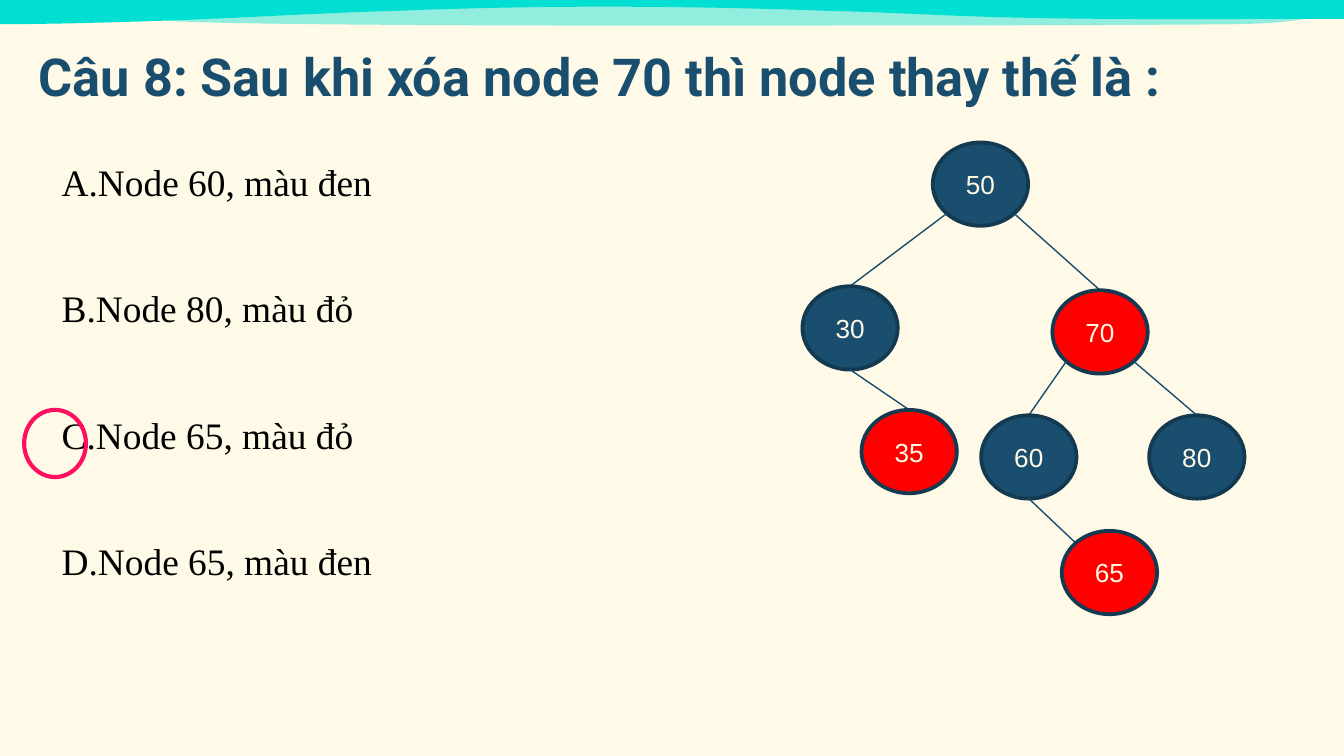
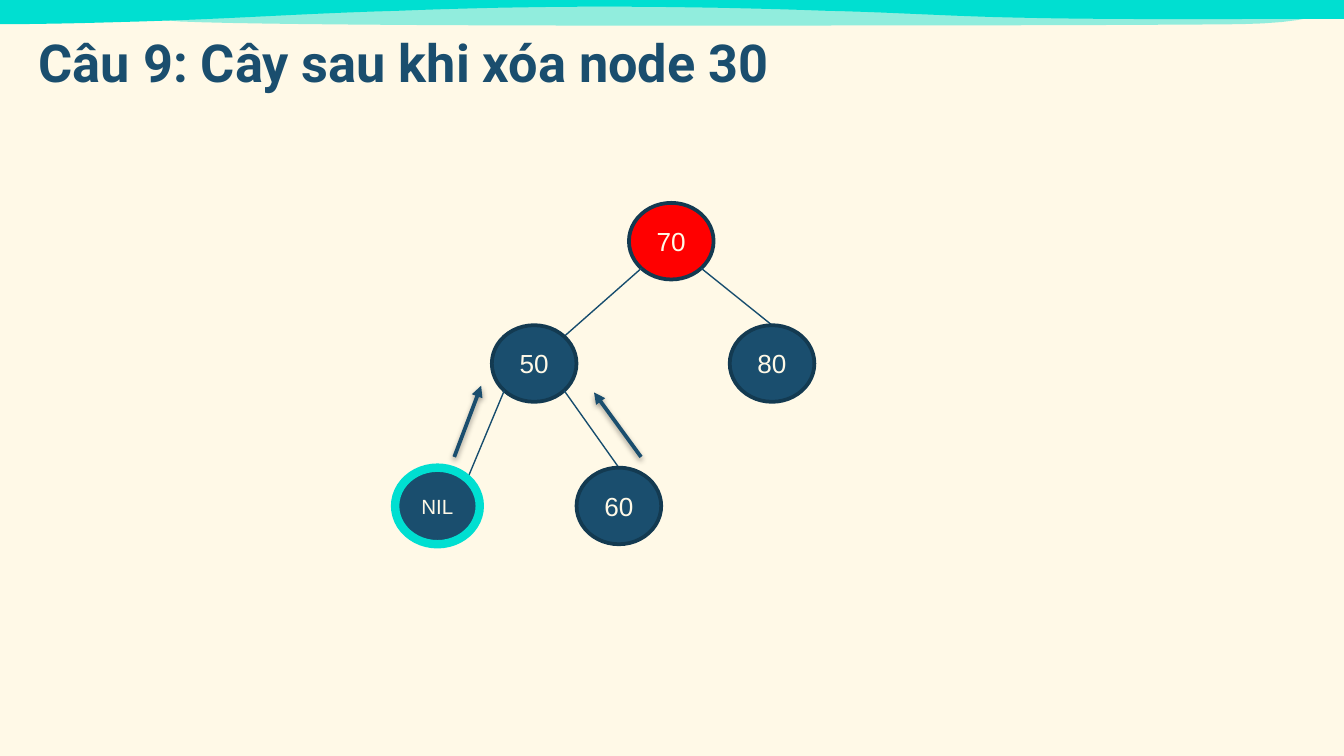
from math import sqrt

from lxml import etree
from pptx import Presentation
from pptx.dml.color import RGBColor
from pptx.enum.shapes import MSO_CONNECTOR, MSO_SHAPE
from pptx.enum.text import MSO_ANCHOR, PP_ALIGN
from pptx.oxml.ns import qn
from pptx.util import Inches, Pt

STRAIGHT = MSO_CONNECTOR.STRAIGHT
OVAL = MSO_SHAPE.OVAL
MIDDLE = MSO_ANCHOR.MIDDLE
BOTTOM = MSO_ANCHOR.BOTTOM
CENTER = PP_ALIGN.CENTER

CREAM = RGBColor(0xFF, 0xF9, 0xE7)
TEAL = RGBColor(0x00, 0xDF, 0xD1)
NAVY = RGBColor(0x1A, 0x4E, 0x6E)
DARK_NAVY = RGBColor(0x13, 0x3A, 0x51)
EDGE_BLUE = RGBColor(0x17, 0x4D, 0x6E)
RED = RGBColor(0xFF, 0x00, 0x00)
PINK = RGBColor(0xFF, 0x0F, 0x62)
BLACK = RGBColor(0x00, 0x00, 0x00)

TITLE_FONT = "Roboto"
NODE_FONT = "Arial"
ANSWER_FONT = "Times New Roman"

WAVE_CURVE = [
    (0, 0.18), (0.35, 0.18), (0.7, 0.17), (1.04, 0.16), (1.74, 0.14), (2.26, 0.1),
    (2.97, 0.08), (3.48, 0.06), (3.98, 0.05), (4.49, 0.05), (5.04, 0.05), (5.59, 0.06),
    (6.14, 0.08), (6.6, 0.09), (7.06, 0.12), (7.52, 0.13), (8.35, 0.15), (9.17, 0.14),
    (10, 0.14),
]
LIGHT_WAVE_CURVE = [
    (9.93, 0.06), (9.93, 0.06), (9.84, 0.17), (9.23, 0.18), (8.22, 0.19), (6.29, 0.19),
    (4.58, 0.19), (3.12, 0.19), (1.81, 0.18), (1.34, 0.16), (0.88, 0.13), (0.98, 0.04),
    (0.98, 0.04),
]
CURVE_STEPS = 10

DIAGONAL = sqrt(0.5)
SITES = {
    "top": (0, -1),
    "bottom": (0, 1),
    "top left": (-DIAGONAL, -DIAGONAL),
    "top right": (DIAGONAL, -DIAGONAL),
    "bottom left": (-DIAGONAL, DIAGONAL),
    "bottom right": (DIAGONAL, DIAGONAL),
}


def add_child(parent, tag, **attributes):
    return etree.SubElement(parent, qn(tag), attributes)


def trace_curve(points):
    traced = [points[0]]
    for first in range(0, len(points) - 1, 3):
        controls = points[first:first + 4]
        for step in range(1, CURVE_STEPS + 1):
            t = step / CURVE_STEPS
            weights = ((1 - t) ** 3, 3 * t * (1 - t) ** 2, 3 * t * t * (1 - t), t ** 3)
            traced.append(tuple(
                sum(weight * point[axis] for weight, point in zip(weights, controls))
                for axis in (0, 1)
            ))
    return traced


def add_wave(slide, points, opacity=100):
    corners = [(Inches(x), Inches(y)) for x, y in points]
    builder = slide.shapes.build_freeform(*corners[0])
    builder.add_line_segments(corners[1:], close=True)
    shape = builder.convert_to_shape()
    shape.shadow.inherit = False
    shape.fill.solid()
    shape.fill.fore_color.rgb = TEAL
    shape.line.fill.background()
    if opacity < 100:
        color = shape._element.spPr.find(qn("a:solidFill"))[0]
        add_child(color, "a:alpha", val=str(opacity * 1000))


def add_run(paragraph, text, font, size, color, bold=False):
    run = paragraph.add_run()
    run.text = text
    run.font.name = font
    run.font.size = Pt(size)
    run.font.color.rgb = color
    run.font.bold = bold


def add_text_frame(slide, left, top, width, height):
    box = slide.shapes.add_textbox(Inches(left), Inches(top), Inches(width), Inches(height))
    frame = box.text_frame
    frame.word_wrap = True
    frame.margin_left = frame.margin_right = Inches(0.1)
    frame.margin_top = frame.margin_bottom = Inches(0.1)
    return frame


def add_question_slide(presentation, title, title_width, title_height):
    slide = presentation.slides.add_slide(presentation.slide_layouts[6])
    slide.background.fill.solid()
    slide.background.fill.fore_color.rgb = CREAM
    add_wave(slide, trace_curve(WAVE_CURVE) + [(10, 0), (0, 0)])
    add_wave(slide, trace_curve(LIGHT_WAVE_CURVE), opacity=43)
    frame = add_text_frame(slide, 0.19, 0, title_width, title_height)
    frame.vertical_anchor = BOTTOM
    add_run(frame.paragraphs[0], title, TITLE_FONT, 28, NAVY, bold=True)
    return slide


def add_answers(slide, answers):
    frame = add_text_frame(slide, 0.36, 1.06, 4.01, 3.73)
    for index, answer in enumerate(answers):
        paragraph = frame.add_paragraph() if index else frame.paragraphs[0]
        paragraph.line_spacing = 1.07
        paragraph.space_after = Pt(42)
        properties = paragraph._p.get_or_add_pPr()
        properties.set("marL", str(Inches(0.05)))
        properties.set("indent", str(Inches(-0.38)))
        add_child(add_child(properties, "a:buClr"), "a:srgbClr", val=str(BLACK))
        add_child(properties, "a:buFont", typeface=ANSWER_FONT)
        add_child(properties, "a:buAutoNum", type="alphaUcPeriod")
        add_run(paragraph, answer, ANSWER_FONT, 20, BLACK)


def add_oval(slide, left, top, width, height, line_color, line_width):
    shape = slide.shapes.add_shape(
        OVAL, Inches(left), Inches(top), Inches(width), Inches(height))
    shape.shadow.inherit = False
    shape.fill.background()
    shape.line.color.rgb = line_color
    shape.line.width = Pt(line_width)
    return shape


def add_node(slide, label, left, top, size, fill=NAVY, line=DARK_NAVY, line_width=2, font_size=14):
    shape = add_oval(slide, left, top, *size, line, line_width)
    shape.fill.solid()
    shape.fill.fore_color.rgb = fill
    frame = shape.text_frame
    frame.vertical_anchor = MIDDLE
    frame.margin_left = frame.margin_right = 0
    paragraph = frame.paragraphs[0]
    paragraph.alignment = CENTER
    add_run(paragraph, label, NODE_FONT, font_size, CREAM)
    return shape


def add_line(slide, start, end, color, width):
    connector = slide.shapes.add_connector(STRAIGHT, *start, *end)
    connector.line.color.rgb = color
    connector.line.width = Pt(width)
    effects = add_child(connector._element.spPr, "a:effectLst")
    return connector, effects


def site_position(node, site):
    across, down = SITES[site]
    return (
        round(node.left + node.width * (1 + across) / 2),
        round(node.top + node.height * (1 + down) / 2),
    )


def add_edge(slide, parent, parent_site, child, child_site="top"):
    connector, _ = add_line(
        slide, site_position(parent, parent_site), site_position(child, child_site),
        EDGE_BLUE, 0.75)
    if child_site == "top":
        connector.end_connect(child, 0)
    child._element.addprevious(connector._element)


def add_arrow(slide, start, end):
    connector, effects = add_line(
        slide, [Inches(value) for value in start], [Inches(value) for value in end], NAVY, 2)
    add_child(connector._element.spPr.find(qn("a:ln")), "a:tailEnd", type="triangle")
    shadow = add_child(
        effects, "a:outerShdw", blurRad=str(Pt(3.1)), dist=str(Pt(1.6)),
        dir="5400000", rotWithShape="0")
    color = add_child(shadow, "a:srgbClr", val=str(BLACK))
    add_child(color, "a:alpha", val="38000")


def build_replacement_slide(presentation):
    slide = add_question_slide(
        presentation, "Câu 8: Sau khi xóa node 70 thì node thay thế là :", 9.49, 0.9)
    add_answers(slide, [
        "Node 60, màu đen", "Node 80, màu đỏ", "Node 65, màu đỏ", "Node 65, màu đen"])
    nodes = {
        label: add_node(slide, label, left, top, (0.71, 0.62), fill)
        for label, left, top, fill in [
            ("50", 6.94, 1.06, NAVY),
            ("30", 5.97, 2.13, NAVY),
            ("70", 7.83, 2.16, RED),
            ("35", 6.41, 3.05, RED),
            ("60", 7.3, 3.09, NAVY),
            ("80", 8.55, 3.09, NAVY),
            ("65", 7.9, 3.95, RED),
        ]
    }
    for parent, site, child in [
        ("50", "bottom left", "30"),
        ("50", "bottom right", "70"),
        ("30", "bottom", "35"),
        ("70", "bottom left", "60"),
        ("70", "bottom right", "80"),
    ]:
        add_edge(slide, nodes[parent], site, nodes[child])
    add_edge(slide, nodes["60"], "bottom", nodes["65"], "top left")
    add_oval(slide, 0.18, 3.05, 0.46, 0.5, PINK, 2.25)


def build_deletion_slide(presentation):
    slide = add_question_slide(presentation, "Câu 9: Cây sau khi xóa node 30", 6.75, 0.79)
    size = (0.63, 0.57)
    node_70 = add_node(slide, "70", 4.68, 1.51, size, RED)
    node_50 = add_node(slide, "50", 3.66, 2.42, size)
    node_80 = add_node(slide, "80", 5.43, 2.42, size)
    node_60 = add_node(slide, "60", 4.29, 3.48, size)
    node_nil = add_node(
        slide, "NIL", 2.94, 3.48, size, line=TEAL, line_width=4.5, font_size=11)
    add_edge(slide, node_70, "bottom left", node_50, "top right")
    add_edge(slide, node_70, "bottom right", node_80)
    add_edge(slide, node_50, "bottom left", node_nil, "top right")
    add_edge(slide, node_50, "bottom right", node_60)
    add_arrow(slide, (4.77, 3.4), (4.42, 2.92))
    add_arrow(slide, (3.38, 3.4), (3.58, 2.87))


def main():
    presentation = Presentation()
    presentation.slide_width = Inches(10)
    presentation.slide_height = presentation.slide_width * 9 // 16
    build_replacement_slide(presentation)
    build_deletion_slide(presentation)
    presentation.save("out.pptx")


if __name__ == "__main__":
    main()
